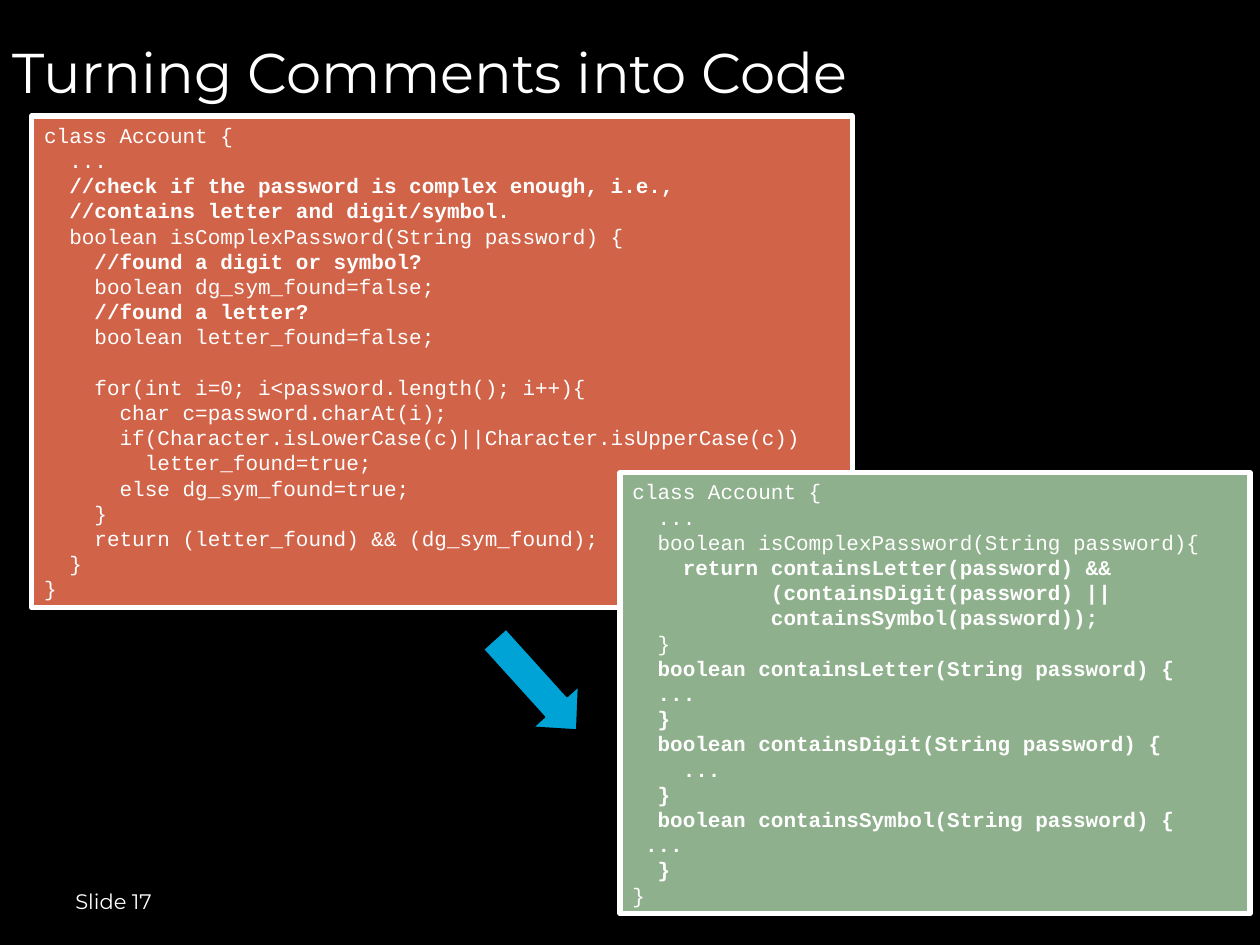
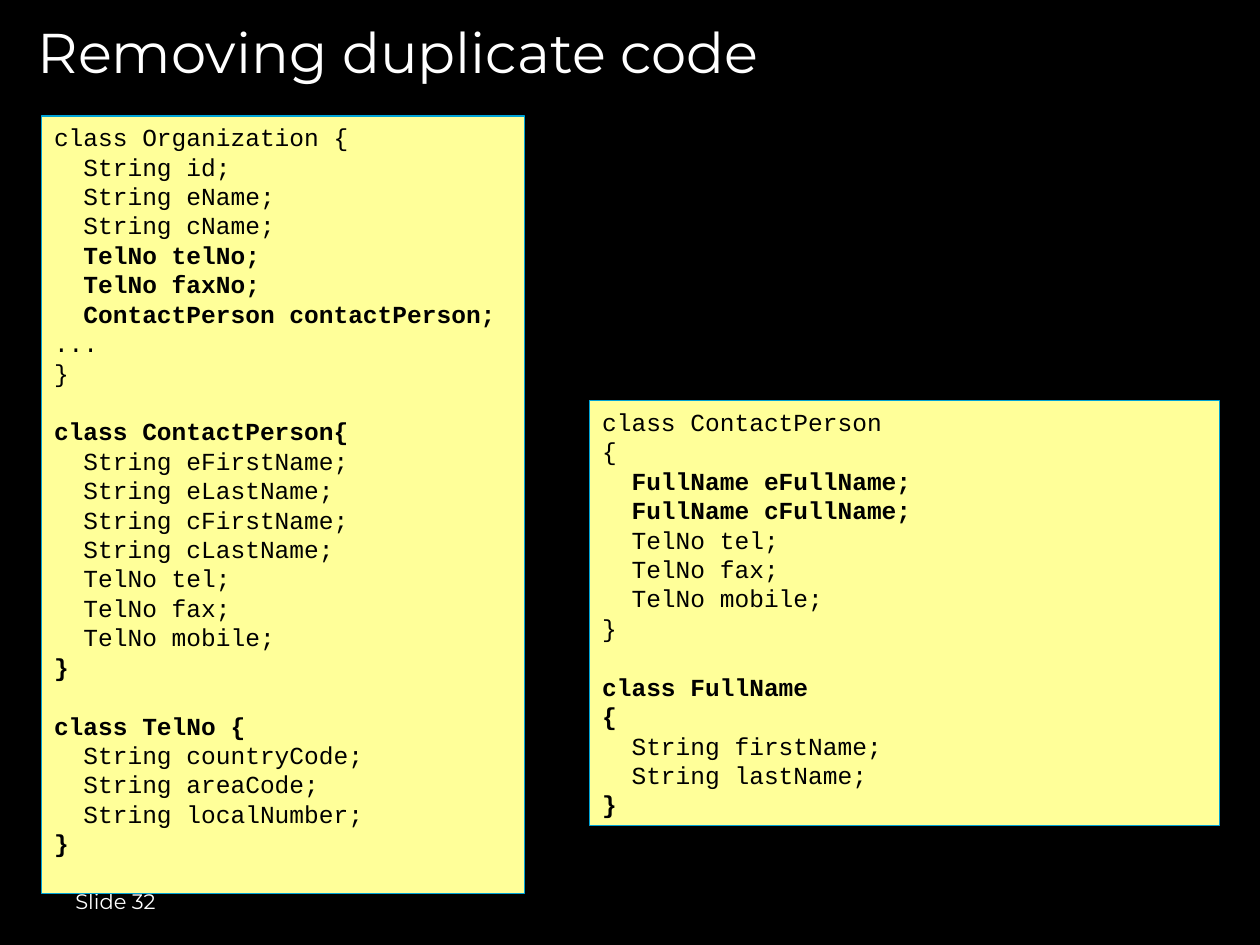
from pptx import Presentation
from pptx import util as u
from pptx.dml.color import RGBColor
from pptx.enum import shapes, text

# Content: in code, a leading * marks a bold line, an empty line marks a gap
COMMENTED_CODE = """class Account {
  ...
*  //check if the password is complex enough, i.e.,
*  //contains letter and digit/symbol.
  boolean isComplexPassword(String password) {
*    //found a digit or symbol?
    boolean dg_sym_found=false;
*    //found a letter?
    boolean letter_found=false;

    for(int i=0; i<password.length(); i++){
      char c=password.charAt(i);
      if(Character.isLowerCase(c)||Character.isUpperCase(c))
        letter_found=true;
      else dg_sym_found=true;
    }
    return (letter_found) && (dg_sym_found);
  }
}"""

METHOD_CODE = """class Account {
  ...
  boolean isComplexPassword(String password){
*    return containsLetter(password) &&
*           (containsDigit(password) ||
*           containsSymbol(password));
  }
*  boolean containsLetter(String password) {
*  ...
*  }
*  boolean containsDigit(String password) {
*    ...
*  }
*  boolean containsSymbol(String password) {
* ...
*  }
}"""

ORGANIZATION_CODE = """class Organization {
  String id;
  String eName;
  String cName;
*  TelNo telNo;
*  TelNo faxNo;
*  ContactPerson contactPerson;
...
}

*class ContactPerson{
  String eFirstName;
  String eLastName;
  String cFirstName;
  String cLastName;
  TelNo tel;
  TelNo fax;
  TelNo mobile;
*}

*class TelNo {
  String countryCode;
  String areaCode;
  String localNumber;
*}"""

FULL_NAME_CODE = """class ContactPerson
{
*  FullName eFullName;
*  FullName cFullName;
  TelNo tel;
  TelNo fax;
  TelNo mobile;
}

*class FullName
{BOLD_BRACE}
  String firstName;
  String lastName;
*}""".replace("{BOLD_BRACE}", "*{")

# Shared look: lengths in cm, sizes in points
COLORS = {"background": "000000", "light": "FFFFFF", "dark": "000000", "accent": "00A3D6",
          "red": "D16349", "green": "8FB08C", "yellow": "FFFF99"}
TITLE = {"name": "Montserrat", "size": 32, "color": "light"}
FOOTER = {"name": "Montserrat", "size": 12, "color": "light"}
FOOTER_BOX = (1.27, 17.65, 5.92, 1.02)
LINE_PITCH = 1.2
FRAMED = {"font": {"name": "Courier New", "size": 12, "color": "light"},
          "line": ("light", 3)}
NOTE = {"font": {"name": "Courier New", "size": 14, "color": "dark"},
        "line": ("accent", 0.75)}

SLIDES = [
    {"title": "Turning Comments into Code", "title_box": (0, 0.84, 18.85, 1.17),
     "number": 17,
     "arrow": {"box": (10.19, 12.57, 1.22, 2.46), "rotation": 317.9, "adjust": (0.5, 0.51)},
     "panels": [(COMMENTED_CODE, (0.64, 2.34, 16.54, 9.91), "red", FRAMED),
                (METHOD_CODE, (12.5, 9.53, 12.7, 8.89), "green", FRAMED)]},
    {"title": "Removing duplicate code", "title_box": (0.51, 0, 18.85, 2.06),
     "number": 32,
     "panels": [(ORGANIZATION_CODE, (0.84, 2.34, 9.73, 15.67), "yellow", NOTE),
                (FULL_NAME_CODE, (11.89, 8.08, 12.7, 8.56), "yellow", NOTE)]},
]


def color(name):
    return RGBColor.from_string(COLORS[name])


def place(box):
    return [u.Cm(length) for length in box]


def set_attributes(target, values):
    for name, value in values.items():
        setattr(target, name, value)


def style_run(run, style, bold=False):
    set_attributes(run.font, {"name": style["name"], "size": u.Pt(style["size"]), "bold": bold})
    run.font.color.rgb = color(style["color"])


def add_label(slide, words, box, style):
    frame = slide.shapes.add_textbox(*place(box)).text_frame
    set_attributes(frame, {"word_wrap": True, "vertical_anchor": text.MSO_ANCHOR.MIDDLE})
    run = frame.paragraphs[0].add_run()
    run.text = words
    style_run(run, style)


def add_filled(slide, kind, box, fill, line):
    shape = slide.shapes.add_shape(kind, *place(box))
    shape.shadow.inherit = False
    shape.fill.solid()
    shape.fill.fore_color.rgb = color(fill)
    shape.line.color.rgb = color(line[0])
    shape.line.width = u.Pt(line[1])
    return shape


def add_code(slide, code, box, fill, style):
    shape = add_filled(slide, shapes.MSO_SHAPE.RECTANGLE, box, fill, style["line"])
    frame = shape.text_frame
    set_attributes(frame, {"word_wrap": True, "vertical_anchor": text.MSO_ANCHOR.TOP})
    pitch = u.Pt(style["font"]["size"] * LINE_PITCH)
    paragraph, gap = None, 0
    for line in code.splitlines():
        if not line:
            gap = pitch
            continue
        paragraph = frame.add_paragraph() if paragraph else frame.paragraphs[0]
        set_attributes(paragraph, {"alignment": text.PP_ALIGN.LEFT, "line_spacing": pitch})
        if gap:
            paragraph.space_before = gap
            gap = 0
        run = paragraph.add_run()
        run.text = line.removeprefix("*")
        style_run(run, style["font"], line.startswith("*"))


def add_arrow(slide, arrow):
    shape = add_filled(slide, shapes.MSO_SHAPE.DOWN_ARROW, arrow["box"], "accent", ("dark", 0.75))
    shape.rotation = arrow["rotation"]
    for index, value in enumerate(arrow["adjust"]):
        shape.adjustments[index] = value


def main():
    presentation = Presentation()
    set_attributes(presentation, {"slide_width": u.Cm(25.4), "slide_height": u.Cm(19.05)})
    for content in SLIDES:
        slide = presentation.slides.add_slide(presentation.slide_layouts[6])
        slide.background.fill.solid()
        slide.background.fill.fore_color.rgb = color("background")
        # Footer and title, then the arrow and the code panels above them
        add_label(slide, f"Slide {content['number']}", FOOTER_BOX, FOOTER)
        add_label(slide, content["title"], content["title_box"], TITLE)
        if "arrow" in content:
            add_arrow(slide, content["arrow"])
        for panel in content["panels"]:
            add_code(slide, *panel)
    presentation.save("out.pptx")


if __name__ == "__main__":
    main()
